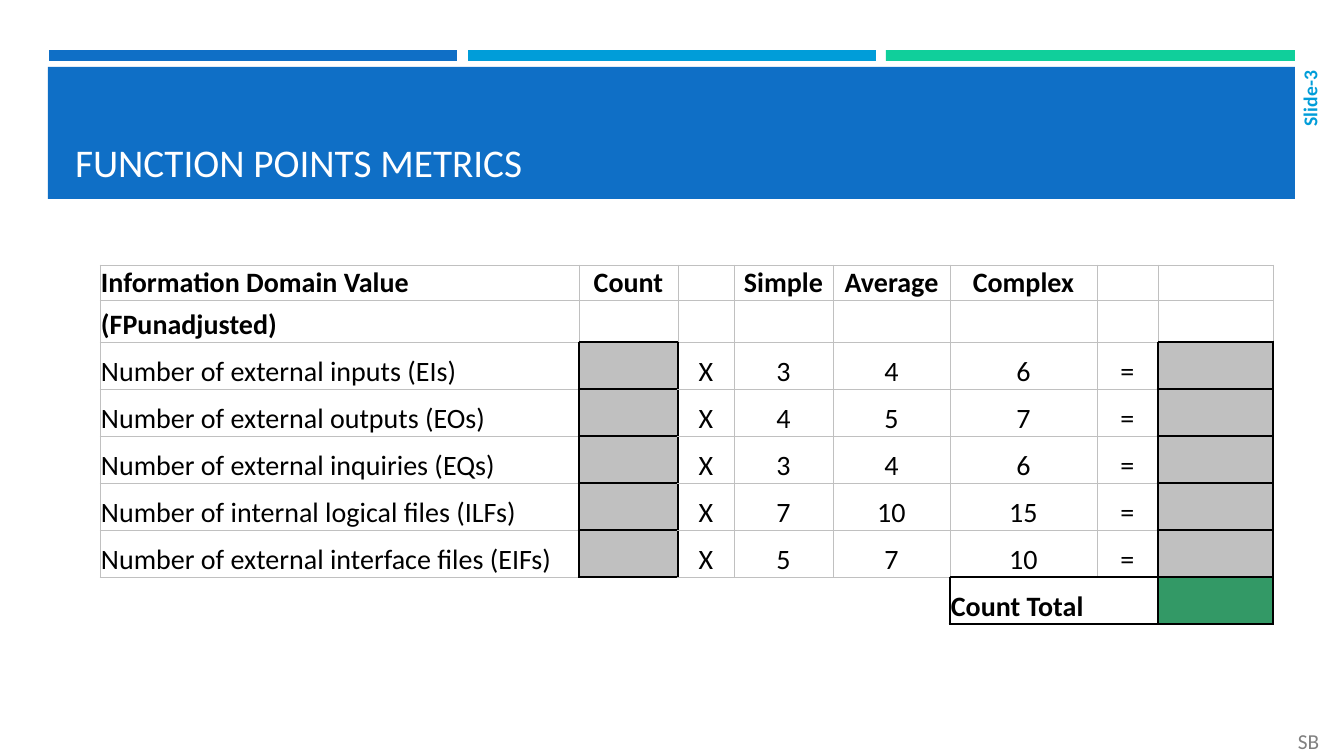
"""Build the function points metrics slide."""
from lxml.etree import SubElement
from pptx import Presentation
from pptx.dml.color import RGBColor
from pptx.enum.shapes import MSO_SHAPE
from pptx.enum.text import MSO_ANCHOR, PP_ALIGN
from pptx.oxml.ns import qn
from pptx.util import Pt

SCALE = 914400 / 100.8
FONT = "Calibri"
BLUE, CYAN, GREEN = "0F6FC6", "009DD9", "10CF9B"
BLACK, SILVER, TOTAL_GREEN = "000000", "C0C0C0", "339966"

BANDS = [
    (49, 50, 408, 11, BLUE),
    (468, 50, 408, 11, CYAN),
    (886, 50, 409, 11, GREEN),
    (48, 67, 1247, 132, BLUE),
]
TITLE = "FUNCTION POINTS METRICS"
HEADER = ["Information Domain Value", "Count", "", "Simple", "Average", "Complex", "", ""]
DOMAINS = [
    ("Number of external inputs (EIs)", 3, 4, 6),
    ("Number of external outputs (EOs)", 4, 5, 7),
    ("Number of external inquiries (EQs)", 3, 4, 6),
    ("Number of internal logical files (ILFs)", 7, 10, 15),
    ("Number of external interface files (EIFs)", 5, 7, 10),
]
COLUMN_WIDTHS = [479, 99, 56, 99, 117, 147, 61, 115]
HEADER_HEIGHTS = [35, 42]
BODY_HEIGHT = 47
TABLE_LEFT, TABLE_TOP = 100, 265

ROWS = [HEADER, ["(FPunadjusted)"] + [""] * 7]
ROWS += [[name, "", "X", *map(str, weights), "=", ""] for name, *weights in DOMAINS]
ROWS += [[""] * 5 + ["Count Total", "", ""]]
LAST = len(ROWS) - 1
GRAY_CELLS = {(row, column) for row in range(2, LAST) for column in (1, 7)}
BOXED_CELLS = GRAY_CELLS | {(LAST, column) for column in (5, 6, 7)}
SIDES = {"a:lnL": (0, -1), "a:lnR": (0, 1), "a:lnT": (-1, 0), "a:lnB": (1, 0)}


def px(*lengths):
    values = [round(length * SCALE) for length in lengths]
    return values if len(values) > 1 else values[0]


def color(value):
    return RGBColor.from_string(value)


def write(frame, text, size=20, ink=BLACK, bold=False, align=PP_ALIGN.LEFT):
    para = frame.paragraphs[0]
    para.alignment = align
    para.font.size = Pt(size)
    if text:
        span = para.add_run()
        span.text = text
        span.font.name, span.font.size, span.font.bold = FONT, Pt(size), bold
        span.font.color.rgb = color(ink)


def add_band(page, left, top, width, height, fill):
    band = page.shapes.add_shape(MSO_SHAPE.RECTANGLE, *px(left, top, width, height))
    band.shadow.inherit = False
    band.fill.solid()
    band.fill.fore_color.rgb = color(fill)
    band.line.fill.background()


def add_label(page, bounds, text, anchor=MSO_ANCHOR.MIDDLE, margins=(0, 0), **style):
    frame = page.shapes.add_textbox(*px(*bounds)).text_frame
    frame.word_wrap = True
    frame.vertical_anchor = anchor
    frame.margin_left = frame.margin_right = px(margins[0])
    frame.margin_top = frame.margin_bottom = px(margins[1])
    write(frame, text, **style)
    return frame


def draw_borders(cell, row, column):
    properties = cell._tc.get_or_add_tcPr()
    for tag, (down, across) in SIDES.items():
        pair = [(row, column), (row + down, column + across)]
        line = SubElement(properties, qn(tag))
        if any(place in BOXED_CELLS for place in pair):
            width, ink = 2, BLACK
        elif any(0 <= place[0] < LAST for place in pair):
            width, ink = 0.5, SILVER
        else:
            line.set("w", "0")
            SubElement(line, qn("a:noFill"))
            continue
        line.set("w", str(Pt(width)))
        fill = SubElement(line, qn("a:solidFill"))
        SubElement(fill, qn("a:srgbClr")).set("val", ink)


def fill_cell(cell, row, column):
    text = ROWS[row][column]
    cell.vertical_anchor = MSO_ANCHOR.BOTTOM
    cell.margin_left = cell.margin_right = cell.margin_top = px(1)
    cell.margin_bottom = 0
    left = column == 0 or row == LAST
    write(cell.text_frame, text, bold=row < 2 or row == LAST,
          align=PP_ALIGN.LEFT if left else PP_ALIGN.CENTER)
    draw_borders(cell, row, column)
    if (row, column) in GRAY_CELLS or (row, column) == (LAST, 7):
        cell.fill.solid()
        cell.fill.fore_color.rgb = color(TOTAL_GREEN if row == LAST else SILVER)
    else:
        cell.fill.background()


def add_metrics_table(page):
    heights = HEADER_HEIGHTS + [BODY_HEIGHT] * (len(ROWS) - len(HEADER_HEIGHTS))
    bounds = px(TABLE_LEFT, TABLE_TOP, sum(COLUMN_WIDTHS), sum(heights))
    table = page.shapes.add_table(len(ROWS), len(HEADER), *bounds).table
    table.first_row = table.horz_banding = False
    for column, width in zip(table.columns, COLUMN_WIDTHS):
        column.width = px(width)
    for row, height in zip(table.rows, heights):
        row.height = px(height)
    for row in range(len(ROWS)):
        for column in range(len(HEADER)):
            fill_cell(table.cell(row, column), row, column)
    table.cell(LAST, 5).merge(table.cell(LAST, 6))


def main():
    deck = Presentation()
    deck.slide_width, deck.slide_height = px(1344, 756)
    page = deck.slides.add_slide(deck.slide_layouts[6])
    for band in BANDS:
        add_band(page, *band)
    add_label(page, (65, 78, 1216, 112), TITLE, anchor=MSO_ANCHOR.BOTTOM,
              margins=(10, 5), size=28, ink="FFFFFF")
    number = add_label(page, (1297, 66, 25, 92), "Slide-3", margins=(0, 5), size=14,
                       ink=CYAN, bold=True, align=PP_ALIGN.RIGHT)
    number._txBody.bodyPr.set("vert", "vert270")
    add_metrics_table(page)
    add_label(page, (1273, 726, 71, 30), "SB", size=15.2, ink="808080",
              align=PP_ALIGN.CENTER)
    deck.save("out.pptx")


if __name__ == "__main__":
    main()
